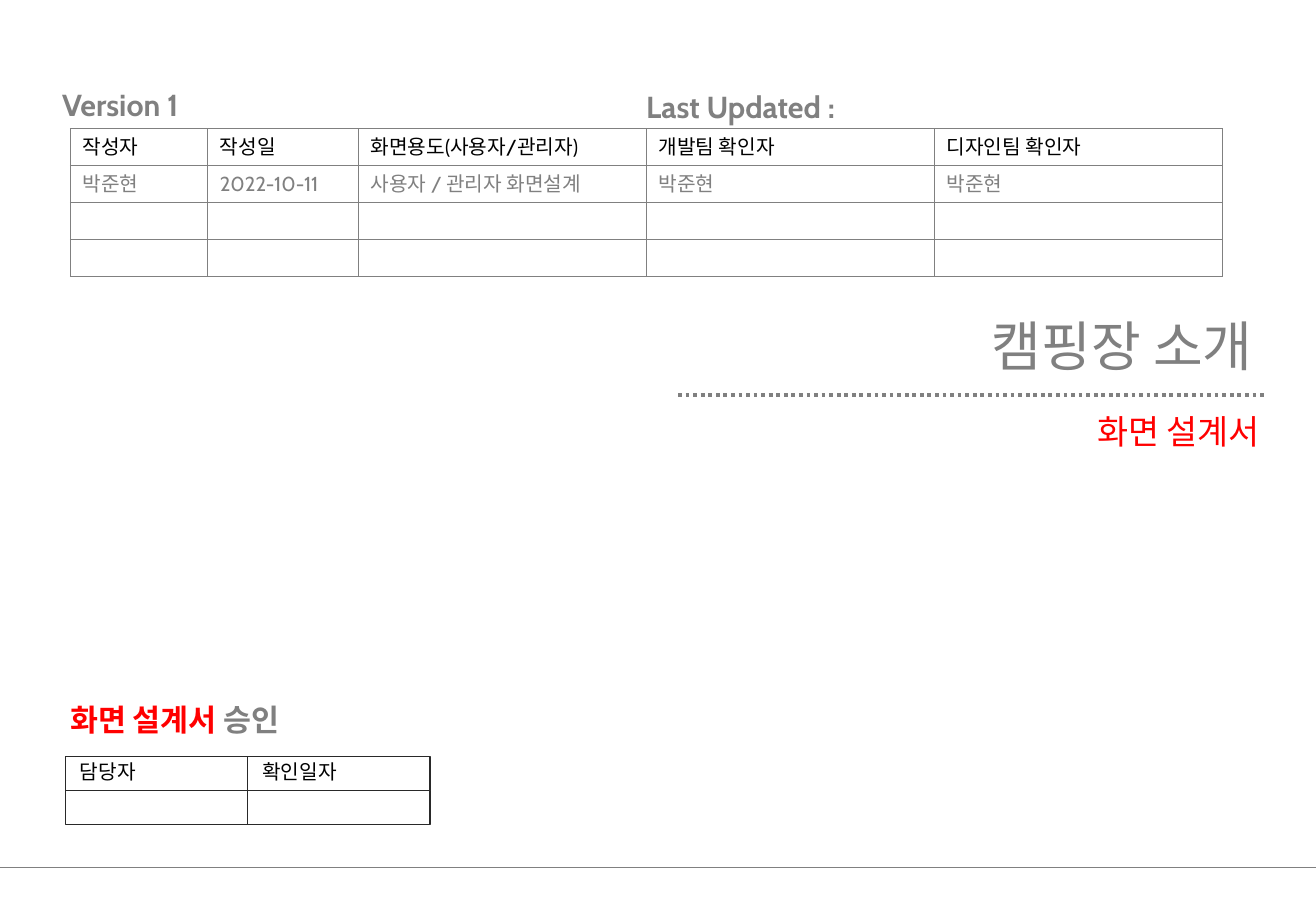
from dataclasses import dataclass

from lxml import etree
from pptx import Presentation
from pptx import util as u
from pptx.dml.color import RGBColor
from pptx.enum import dml, shapes, text
from pptx.oxml import ns

GREY, RED, BLACK, EDGE = "808080", "FF0000", "000000", "292929"
CABIN, NOTO = "Cabin", "Noto Sans CJK KR"


@dataclass
class Span:
    words: str
    hue: str = GREY


@dataclass
class Label:
    box: tuple[float, float, float, float]
    spans: list[Span]
    size: float
    face: str = CABIN
    bold: bool = False
    right: bool = False
    wrap: bool = True
    grow: bool = True
    inset: float = 0.1
    top: float = 0.05
    lead: float = 1.0


@dataclass
class Rule:
    left: float
    end: float
    y: float
    width: float
    dots: bool = False


LABELS = [
    Label((4.21, 3.28, 6.26, 0.87), [Span("화면 설계서", RED)], 20, NOTO,
          right=True, grow=False, top=0, lead=1.3),
    Label((0.12, 0.66, 2.11, 0.4), [Span("Version 1")], 18, bold=True, inset=0.39),
    Label((5.22, 0.68, 4.84, 0.4), [Span("Last Updated :")], 18, bold=True),
    Label((0.48, 5.72, 2.12, 0.4), [Span("화면 설계서 ", RED), Span("승인")], 18, bold=True),
    Label((0.56, 6.2, 0.7, 0.3), [Span("담당자", BLACK)], 12, NOTO, wrap=False),
    Label((2.06, 6.2, 0.86, 0.3), [Span("확인일자", BLACK)], 12, NOTO, wrap=False),
]
TITLE = Label((0.78, 2.57, 9.63, 0.48), [Span("캠핑장 소개")], 32, NOTO,
              right=True, grow=False, top=0)
RULES = [Rule(0, 10.83, 7.14, 0.75), Rule(5.58, 10.42, 3.25, 2.25, True)]
COLS = [1.13, 1.24, 2.37, 2.37, 2.37]
ROWS = [
    ["작성자", "작성일", "화면용도(사용자/관리자)", "개발팀 확인자", "디자인팀 확인자"],
    ["박준현", "2022-10-11", "사용자 / 관리자 화면설계", "박준현", "박준현"],
    [""] * 5,
    [""] * 5,
]


def paint(color, hue: str) -> None:
    color.rgb = RGBColor.from_string(hue)


def write(para, span: Span, size: float, face: str, bold: bool = False) -> None:
    run = para.add_run()
    run.text = span.words
    font = run.font
    font.size, font.name, font.bold = u.Pt(size), face, bold
    paint(font.color, span.hue)
    east = etree.SubElement(run._r.get_or_add_rPr(), ns.qn("a:ea"))
    east.set("typeface", face)


def fill_text(shape, label: Label) -> None:
    frame = shape.text_frame
    frame.word_wrap = label.wrap
    fit = text.MSO_AUTO_SIZE
    frame.auto_size = fit.SHAPE_TO_FIT_TEXT if label.grow else fit.NONE
    frame.vertical_anchor = text.MSO_ANCHOR.TOP
    frame.margin_left, frame.margin_right = u.Inches(label.inset), u.Inches(0.1)
    frame.margin_top = frame.margin_bottom = u.Inches(label.top)
    para = frame.paragraphs[0]
    para.alignment = text.PP_ALIGN.RIGHT if label.right else text.PP_ALIGN.LEFT
    para.line_spacing = label.lead
    for span in label.spans:
        write(para, span, label.size, label.face, label.bold)


def draw_label(slide, label: Label) -> None:
    fill_text(slide.shapes.add_textbox(*map(u.Inches, label.box)), label)


def draw_title(slide, label: Label) -> None:
    title = slide.shapes.title
    title.left, title.top, title.width, title.height = map(u.Inches, label.box)
    fill_text(title, label)


def draw_rule(slide, rule: Rule) -> None:
    ends = map(u.Inches, (rule.left, rule.y, rule.end, rule.y))
    line = slide.shapes.add_connector(shapes.MSO_CONNECTOR.STRAIGHT, *ends)
    line.line.width = u.Pt(rule.width)
    paint(line.line.color, GREY)
    if rule.dots:
        line.line.dash_style = dml.MSO_LINE.ROUND_DOT
    etree.SubElement(line._element.spPr, ns.qn("a:effectLst"))


def draw_box(slide, row: int, col: int) -> None:
    place = map(u.Inches, (0.54 + 1.5 * col, 6.23 + 0.28 * row, 1.5, 0.28))
    box = slide.shapes.add_shape(shapes.MSO_SHAPE.RECTANGLE, *place)
    box.shadow.inherit = False
    box.fill.background()
    box.line.width = u.Pt(0.75)
    paint(box.line.color, EDGE)


def edge_cell(cell) -> None:
    props = cell._tc.get_or_add_tcPr()
    for i, side in enumerate(("lnL", "lnR", "lnT", "lnB")):
        edge = etree.Element(ns.qn(f"a:{side}"), w=str(u.Pt(1)))
        solid = etree.SubElement(edge, ns.qn("a:solidFill"))
        etree.SubElement(solid, ns.qn("a:srgbClr"), val=GREY)
        props.insert(i, edge)


def draw_table(slide) -> None:
    place = map(u.Inches, (0.58, 1.06, sum(COLS), 0.3 * len(ROWS)))
    table = slide.shapes.add_table(len(ROWS), len(COLS), *place).table
    table.first_row = table.horz_banding = False
    for col, width in zip(table.columns, COLS):
        col.width = u.Inches(width)
    for r, words in enumerate(ROWS):
        table.rows[r].height = u.Inches(0.3)
        for c, word in enumerate(words):
            cell = table.cell(r, c)
            cell.fill.background()
            edge_cell(cell)
            para = cell.text_frame.paragraphs[0]
            if word:
                write(para, Span(word, GREY if r else BLACK), 12, CABIN)
            else:
                etree.SubElement(para._p, ns.qn("a:endParaRPr"), sz="1200")


def main() -> None:
    deck = Presentation()
    deck.slide_width, deck.slide_height = u.Inches(10.83), u.Inches(7.5)
    slide = deck.slides.add_slide(deck.slide_layouts[5])
    for rule in RULES:
        draw_rule(slide, rule)
    draw_title(slide, TITLE)
    draw_table(slide)
    for row in range(2):
        for col in range(2):
            draw_box(slide, row, col)
    for label in LABELS:
        draw_label(slide, label)
    deck.save("out.pptx")


if __name__ == "__main__":
    main()
